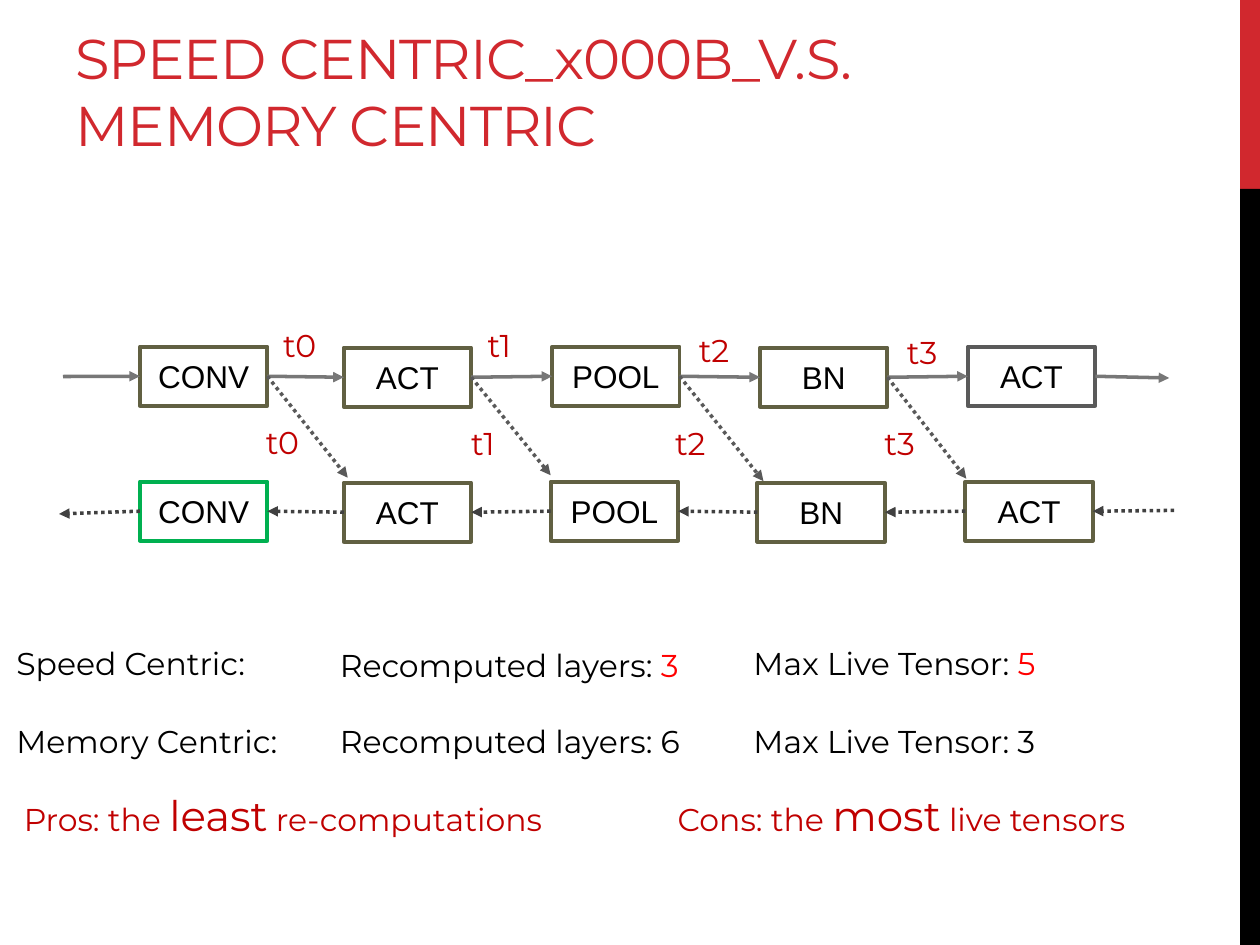
from lxml.etree import SubElement
from pptx import Presentation
from pptx.dml.color import RGBColor
from pptx.enum.dml import MSO_LINE
from pptx.enum.shapes import MSO_CONNECTOR, MSO_SHAPE
from pptx.enum.text import MSO_ANCHOR, PP_ALIGN
from pptx.oxml.ns import qn
from pptx.util import Cm, Pt

color = RGBColor.from_string
deck = Presentation()
deck.slide_width, deck.slide_height = Cm(25.4), Cm(19.05)
page = deck.slides.add_slide(deck.slide_layouts[6])


def add_text(left, top, width, height, runs):
    box = page.shapes.add_textbox(Cm(left), Cm(top), Cm(width), Cm(height))
    box.text_frame.word_wrap = True
    para = box.text_frame.paragraphs[0]
    para.font.name = "Montserrat"
    for text, size, shade in runs:
        span = para.add_run()
        span.text = text
        span.font.size = Pt(size)
        span.font.color.rgb = color(shade)
    return box


def add_arrow(start, end, shade, dotted, start_joint=None, end_joint=None):
    arrow = page.shapes.add_connector(
        MSO_CONNECTOR.STRAIGHT, *[Cm(value) for value in start + end])
    if start_joint:
        arrow.begin_connect(*start_joint)
    if end_joint:
        arrow.end_connect(*end_joint)
    arrow.line.color.rgb = color(shade)
    arrow.line.width = Pt(2)
    if dotted:
        arrow.line.dash_style = MSO_LINE.ROUND_DOT
    SubElement(arrow.line._get_or_add_ln(), qn("a:tailEnd"), type="triangle")
    SubElement(arrow._element.spPr, qn("a:effectLst"))


for top, height, shade in [(0, 3.81, "D1282E"), (3.81, 15.24, "000000")]:
    band = page.shapes.add_shape(
        MSO_SHAPE.RECTANGLE, Cm(25), Cm(top), Cm(0.4), Cm(height))
    band.shadow.inherit = False
    band.fill.solid()
    band.fill.fore_color.rgb = color(shade)
    band.line.fill.background()

title = add_text(1.27, 0.43, 21.16, 2.87,
                 [("SPEED CENTRIC\vV.S. MEMORY CENTRIC", 32, "D1282E")])
title.text_frame.vertical_anchor = MSO_ANCHOR.BOTTOM
title.text_frame.paragraphs[0].runs[0].font._element.set("spc", "-60")

layers = ["CONV", "ACT", "POOL", "BN", "ACT"]
olive, grey, green = "616042", "5A5A5A", "00B050"
passes = [
    (6.99, [2.82, 6.93, 11.13, 15.32, 19.51], [olive] * 4 + [grey]),
    (9.71, [2.82, 6.93, 11.1, 15.27, 19.46], [green] + [olive] * 4),
]
rows = []
for top, lefts, outlines in passes:
    row = []
    for index, (layer, left, outline) in enumerate(zip(layers, lefts, outlines)):
        box = page.shapes.add_shape(
            MSO_SHAPE.RECTANGLE, Cm(left), Cm(top + 0.02 * (index % 2)),
            Cm(2.57), Cm(1.19))
        box.shadow.inherit = False
        box.fill.background()
        box.line.color.rgb = color(outline)
        box.line.width = Pt(2.25)
        box.text_frame.vertical_anchor = MSO_ANCHOR.MIDDLE
        para = box.text_frame.paragraphs[0]
        para.text = layer
        para.alignment = PP_ALIGN.CENTER
        para.font.name = "Arial"
        para.font.size = Pt(18)
        para.font.color.rgb = color("000000")
        row.append(box)
    rows.append(row)
forward, backward = rows

origin = (0, 0)
diagonal_ends = [(7.01, 9.63), (11.1, 9.58), (15.39, 9.7), (19.48, 9.65)]
for index, tip in enumerate(diagonal_ends):
    add_arrow(origin, origin, "777777", False,
              (forward[index], 3), (forward[index + 1], 1))
    add_arrow(origin, origin, "404040", True,
              (backward[index + 1], 1), (backward[index], 3))
    add_arrow(origin, tip, "595959", True, (forward[index], 3))

add_arrow((1.27, 7.59), origin, "777777", False, end_joint=(forward[0], 1))
add_arrow(origin, (23.57, 7.62), "777777", False, (forward[-1], 3))
add_arrow((23.67, 10.29), origin, "404040", True, end_joint=(backward[-1], 3))
add_arrow(origin, (1.19, 10.36), "404040", True, (backward[0], 1))

tensor_spots = [
    [(5.46, 6.45), (5.11, 8.41)],
    [(9.58, 6.45), (9.25, 8.43)],
    [(13.84, 6.55), (13.36, 8.43)],
    [(18.03, 6.58), (17.58, 8.43)],
]
for index, spots in enumerate(tensor_spots):
    for left, top in spots:
        add_text(left, top, 1.35, 1.02, [(f"t{index}", 18, "C00000")])

results = [
    ("Speed Centric:", "3", "5", "FF0000", 12.85, 12.9),
    ("Memory Centric:", "6", "3", "000000", 14.43, 14.43),
]
for name, recomputed, live, shade, top, middle_top in results:
    add_text(0.08, top, 6.32, 1.02, [(name, 18, "000000")])
    add_text(6.6, middle_top, 8.13, 1.02,
             [("Recomputed layers: ", 18, "000000"), (recomputed, 18, shade)])
    add_text(14.94, top, 7.11, 1.02,
             [("Max Live Tensor: ", 18, "000000"), (live, 18, shade)])

verdicts = [
    (0.23, 13.16, "Pros: the ", "least", " re-computations"),
    (13.41, 11.68, "Cons: the ", "most", " live tensors"),
]
for left, width, opening, stress, ending in verdicts:
    add_text(left, 15.8, width, 1.27, [
        (opening, 18, "C00000"), (stress, 24, "C00000"), (ending, 18, "C00000")])

deck.save("out.pptx")
